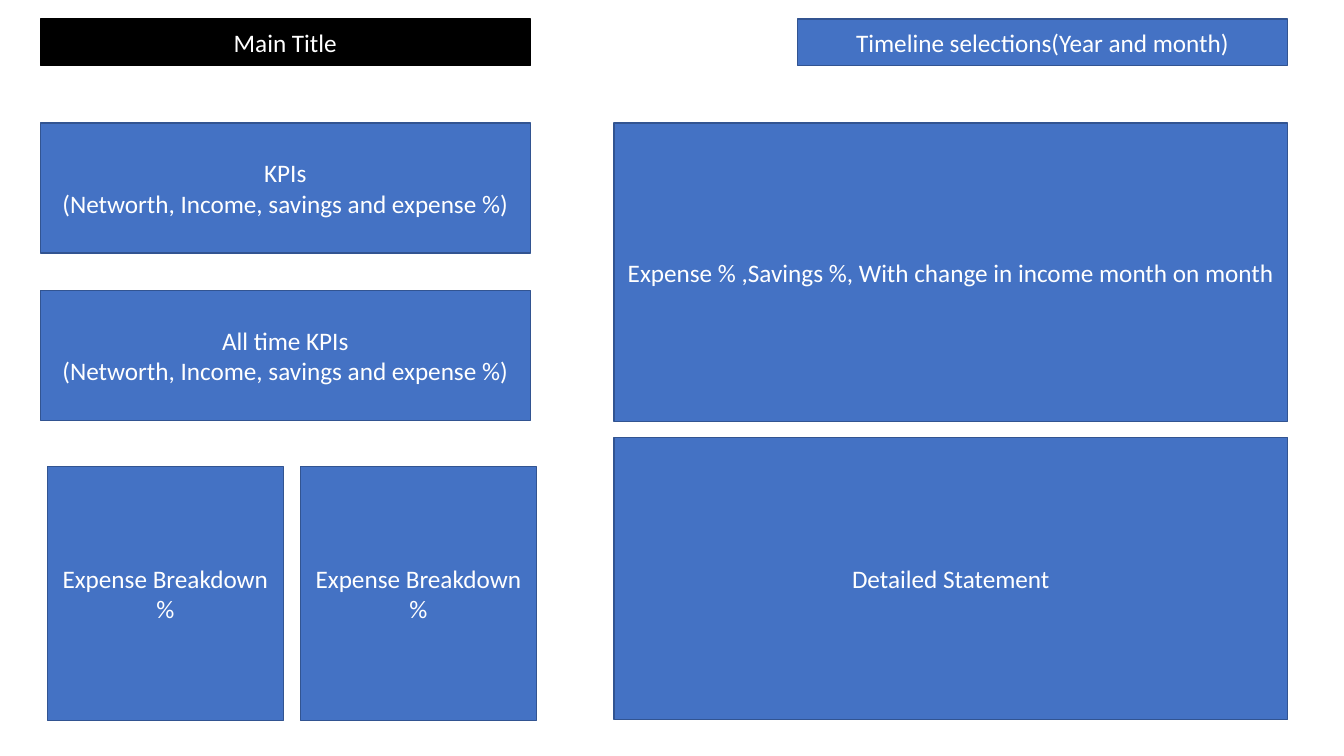
from pptx import Presentation
from pptx.dml.color import RGBColor
from pptx.enum.shapes import MSO_SHAPE
from pptx.enum.text import MSO_ANCHOR, PP_ALIGN
from pptx.util import Inches, Pt

BLUE, NAVY, BLACK, WHITE = "4472C4", "325491", "000000", "FFFFFF"
KPI_LIST = "(Networth, Income, savings and expense %)"
BREAKDOWN = "Expense Breakdown\n%"

LEFT, RIGHT = 0.4, 6.09
BAR_WIDTH, BAR_HEIGHT = 4.86, 0.46
KPI_HEIGHT = 1.29
DETAIL_WIDTH = 6.68
BREAKDOWN_LEFT, BREAKDOWN_STEP = 0.47, 2.51
BREAKDOWN_SIZE = (2.34, 2.52)
HEADER_TOP, KPI_TOP, ALL_TIME_TOP, BREAKDOWN_TOP = 0.19, 1.22, 2.88, 4.63

header = [
    ("Main Title", LEFT, BLACK, BLACK),
    ("Timeline selections(Year and month)", RIGHT + DETAIL_WIDTH - BAR_WIDTH, BLUE, NAVY),
]
kpis = [("KPIs", KPI_TOP), ("All time KPIs", ALL_TIME_TOP)]
breakdowns = [BREAKDOWN, BREAKDOWN]
details = [
    ("Expense % ,Savings %, With change in income month on month", KPI_TOP, 2.96),
    ("Detailed Statement", 4.34, 2.8),
]


def color(value):
    return RGBColor.from_string(value)


def add_panel(slide, label, left, top, width, height, fill=BLUE, outline=NAVY):
    panel = slide.shapes.add_shape(
        MSO_SHAPE.RECTANGLE, Inches(left), Inches(top), Inches(width), Inches(height)
    )
    panel.shadow.inherit = False
    panel.fill.solid()
    panel.fill.fore_color.rgb = color(fill)
    panel.line.color.rgb = color(outline)
    panel.line.width = Pt(1)
    frame = panel.text_frame
    frame.word_wrap = True
    frame.vertical_anchor = MSO_ANCHOR.MIDDLE
    frame.text = label
    for paragraph in frame.paragraphs:
        paragraph.alignment = PP_ALIGN.CENTER
        for run in paragraph.runs:
            run.font.name = "Calibri"
            run.font.size = Pt(18)
            run.font.color.rgb = color(WHITE)


def main():
    deck = Presentation()
    deck.slide_width, deck.slide_height = Inches(13.33), Inches(7.5)
    slide = deck.slides.add_slide(deck.slide_layouts[6])

    for label, left, fill, outline in header:
        add_panel(slide, label, left, HEADER_TOP, BAR_WIDTH, BAR_HEIGHT, fill, outline)
    for heading, top in kpis:
        add_panel(slide, f"{heading}\n{KPI_LIST}", LEFT, top, BAR_WIDTH, KPI_HEIGHT)
    for column, label in enumerate(breakdowns):
        left = BREAKDOWN_LEFT + column * BREAKDOWN_STEP
        add_panel(slide, label, left, BREAKDOWN_TOP, *BREAKDOWN_SIZE)
    for label, top, height in details:
        add_panel(slide, label, RIGHT, top, DETAIL_WIDTH, height)

    deck.save("out.pptx")


if __name__ == "__main__":
    main()
